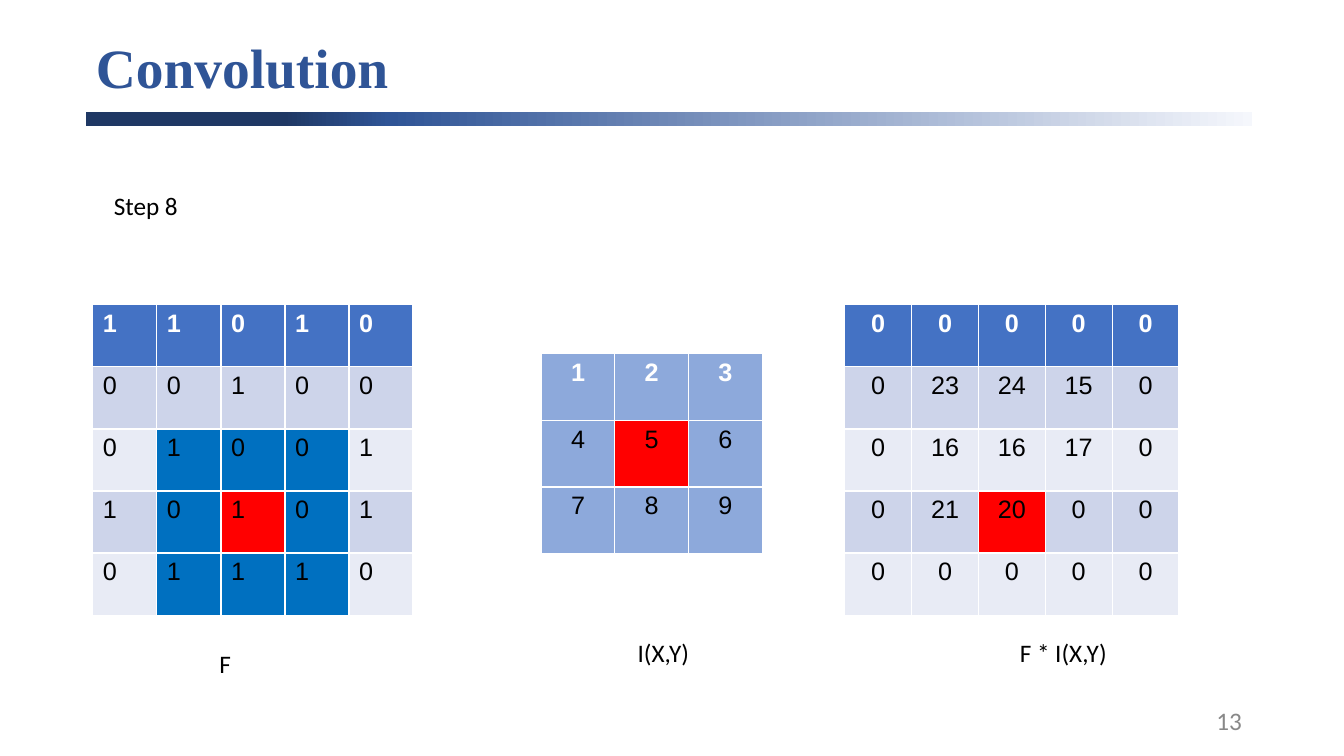
import pptx
import pptx.util
import pptx.dml.color
import pptx.enum.shapes
import pptx.enum.text
import lxml.etree

Cm = pptx.util.Cm
Pt = pptx.util.Pt
ALIGN = pptx.enum.text.PP_ALIGN
ANCHOR = pptx.enum.text.MSO_ANCHOR
FIT = pptx.enum.text.MSO_AUTO_SIZE

HUES = {
    "title": "2F5496", "navy": "1F3864", "pale": "F5F7FC",
    "head": "4472C4", "odd": "CDD4EA", "even": "E8EBF5",
    "mask": "8DA9DB", "patch": "0070C0", "focus": "FF0000",
    "white": "FFFFFF", "black": "000000", "gray": "888888",
}
FADE = [(0, "pale"), (74, "title"), (83, "navy"), (100, "navy")]

IMAGE = ["11010", "00100", "01001", "10101", "01110"]
MASK = ["123", "456", "789"]
RESULT = [
    [0, 0, 0, 0, 0],
    [0, 23, 24, 15, 0],
    [0, 16, 16, 17, 0],
    [0, 21, 20, 0, 0],
    [0, 0, 0, 0, 0],
]


def color(name):
    """Return the named colour."""
    return pptx.dml.color.RGBColor.from_string(HUES[name])


def style(para, face, size, hue, bold=False):
    """Set the font of a paragraph."""
    font = para.font
    font.name, font.size, font.bold = face, Pt(size), bold
    font.color.rgb = color(hue)


def add_title(slide, box, text):
    """Place the title in its box."""
    title = slide.shapes.title
    title.left, title.top, title.width, title.height = map(Cm, box)
    frame = title.text_frame
    frame.text = text
    frame.auto_size = FIT.NONE
    frame.vertical_anchor = ANCHOR.MIDDLE
    para = frame.paragraphs[0]
    para.alignment = ALIGN.LEFT
    para.line_spacing = 0.9
    style(para, "Times New Roman", 39.6, "title", True)


def add_bar(slide, box):
    """Draw the fading bar below the title."""
    kind = pptx.enum.shapes.MSO_SHAPE.RECTANGLE
    bar = slide.shapes.add_shape(kind, *map(Cm, box))
    bar.shadow.inherit = False
    bar.line.fill.background()
    bar.fill.gradient()
    bar.fill.gradient_angle = 180
    stops = bar.element.xpath(".//a:gsLst")[0]
    for stop in list(stops):
        stops.remove(stop)
    tag = "{http://schemas.openxmlformats.org/drawingml/2006/main}"
    for pos, hue in FADE:
        stop = lxml.etree.SubElement(stops, tag + "gs", pos=str(pos * 1000))
        lxml.etree.SubElement(stop, tag + "srgbClr", val=HUES[hue])


def add_label(slide, box, text):
    """Place a one-line label."""
    frame = slide.shapes.add_textbox(*map(Cm, box)).text_frame
    frame.text = text
    frame.word_wrap = False
    frame.auto_size = FIT.SHAPE_TO_FIT_TEXT
    style(frame.paragraphs[0], "Calibri", 18, "black")


def add_number(slide, box, text):
    """Place the page number at the right of its box."""
    frame = slide.shapes.add_textbox(*map(Cm, box)).text_frame
    frame.text = text
    frame.word_wrap = True
    frame.vertical_anchor = ANCHOR.MIDDLE
    para = frame.paragraphs[0]
    para.alignment = ALIGN.RIGHT
    style(para, "Calibri", 18, "gray")


def add_grid(slide, box, rows, align, tint):
    """Fill a table with numbers; tint names the fill of each cell."""
    frame = slide.shapes.add_table(len(rows), len(rows[0]), *map(Cm, box))
    for r, row in enumerate(rows):
        for c, value in enumerate(row):
            cell = frame.table.cell(r, c)
            cell.text = str(value)
            cell.fill.solid()
            cell.fill.fore_color.rgb = color(tint(r, c))
            para = cell.text_frame.paragraphs[0]
            para.alignment = align
            style(para, "Arial", 18, "black" if r else "white", r == 0)


def band(r):
    """Name the fill of a banded row."""
    if r == 0:
        return "head"
    return "odd" if r % 2 else "even"


def image_tint(r, c):
    """Mark the patch under the mask and its centre."""
    if (r, c) == (3, 2):
        return "focus"
    return "patch" if abs(r - 3) <= 1 and abs(c - 2) <= 1 else band(r)


def mask_tint(r, c):
    """Mark the centre of the mask."""
    return "focus" if (r, c) == (1, 1) else "mask"


def result_tint(r, c):
    """Mark the value found in this step."""
    return "focus" if (r, c) == (3, 2) else band(r)


def main():
    """Build the slide and save it."""
    deck = pptx.Presentation()
    deck.slide_width, deck.slide_height = Cm(33.87), Cm(19.05)
    slide = deck.slides.add_slide(deck.slide_layouts[5])
    add_title(slide, (2.16, 0.91, 29.21, 1.75), "Convolution")
    add_bar(slide, (2.16, 2.83, 29.39, 0.34))
    add_label(slide, (2.62, 4.67, 2.13, 1.02), "Step 8")
    add_grid(slide, (2.34, 7.68, 8.07, 7.82), IMAGE, ALIGN.LEFT, image_tint)
    add_label(slide, (5.28, 16.21, 0.81, 1.02), "F")
    add_grid(slide, (13.64, 8.91, 5.57, 5.04), MASK, ALIGN.CENTER, mask_tint)
    add_label(slide, (15.82, 15.93, 1.83, 1.02), "I(X,Y)")
    add_grid(slide, (21.29, 7.68, 8.42, 7.82), RESULT, ALIGN.CENTER, result_tint)
    add_label(slide, (25.45, 15.93, 2.74, 1.02), "F * I(X,Y)")
    add_number(slide, (23.93, 17.65, 7.62, 1.02), "13")
    deck.save("out.pptx")


if __name__ == "__main__":
    main()
